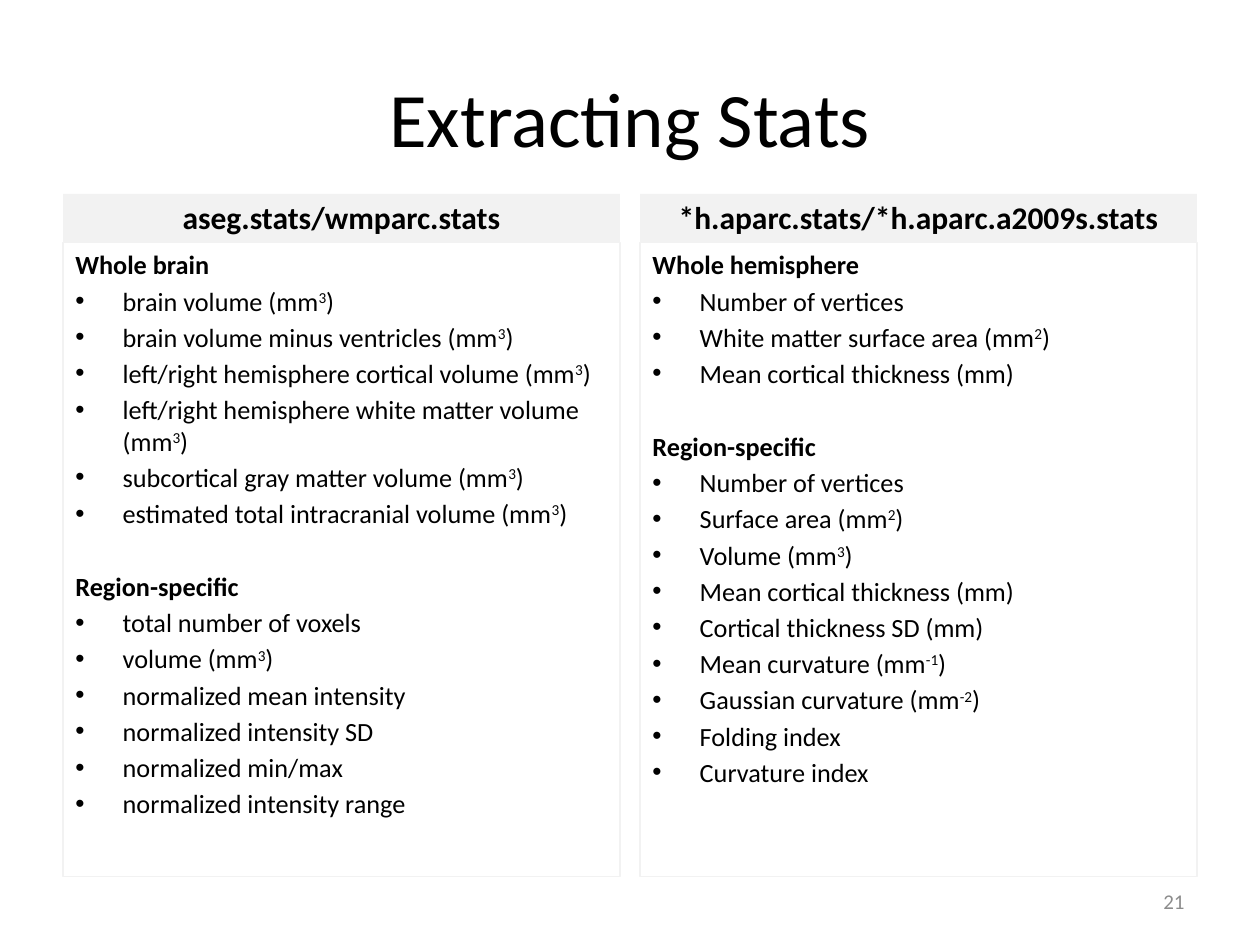
from dataclasses import dataclass

from lxml import etree
from pptx import Presentation
from pptx.dml.color import RGBColor
from pptx.enum.shapes import MSO_SHAPE
from pptx.enum.text import MSO_ANCHOR, PP_ALIGN
from pptx.oxml.ns import qn
from pptx.util import Pt

RECT = MSO_SHAPE.RECTANGLE
TOP, MIDDLE, BOTTOM = MSO_ANCHOR.TOP, MSO_ANCHOR.MIDDLE, MSO_ANCHOR.BOTTOM
LEFT, CENTER, RIGHT = PP_ALIGN.LEFT, PP_ALIGN.CENTER, PP_ALIGN.RIGHT


@dataclass(frozen=True)
class Theme:
    """Colours, font and type sizes of the slide."""
    font: str = "Calibri"
    text: RGBColor = RGBColor(0x00, 0x00, 0x00)
    panel: RGBColor = RGBColor(0xF2, 0xF2, 0xF2)
    muted: RGBColor = RGBColor(0x8C, 0x8C, 0x8C)
    title_size: float = 44
    header_size: float = 18
    body_size: float = 15
    number_size: float = 12
    item_gap: float = 2.7
    section_gap: float = 23.7
    bullet_indent: float = 27


THEME = Theme()
MARGIN, COLUMN_WIDTH, COLUMN_STEP = 36, 318.25, 329.75
HEADER_TOP, HEADER_HEIGHT, BODY_HEIGHT = 110.75, 27.75, 362.25

COLUMNS = [
    ("aseg.stats/wmparc.stats", [
        ("Whole brain", [
            "brain volume (mm^3)",
            "brain volume minus ventricles (mm^3)",
            "left/right hemisphere cortical volume (mm^3)",
            "left/right hemisphere white matter volume (mm^3)",
            "subcortical gray matter volume (mm^3)",
            "estimated total intracranial volume (mm^3)",
        ]),
        ("Region-specific", [
            "total number of voxels",
            "volume (mm^3)",
            "normalized mean intensity",
            "normalized intensity SD",
            "normalized min/max",
            "normalized intensity range",
        ]),
    ]),
    ("*h.aparc.stats/*h.aparc.a2009s.stats", [
        ("Whole hemisphere", [
            "Number of vertices",
            "White matter surface area (mm^2)",
            "Mean cortical thickness (mm)",
        ]),
        ("Region-specific", [
            "Number of vertices",
            "Surface area (mm^2)",
            "Volume (mm^3)",
            "Mean cortical thickness (mm)",
            "Cortical thickness SD (mm)",
            "Mean curvature (mm^-1)",
            "Gaussian curvature (mm^-2)",
            "Folding index",
            "Curvature index",
        ]),
    ]),
]


def style_runs(p, size, color=THEME.text, bold=False):
    """Format every run of a paragraph."""
    for r in p.runs:
        r.font.name = THEME.font
        r.font.size = Pt(size)
        r.font.bold = bold
        r.font.color.rgb = color


def set_frame(sp, anchor):
    """Wrap and anchor a shape's text and return its frame."""
    tf = sp.text_frame
    tf.word_wrap = True
    tf.vertical_anchor = anchor
    return tf


def add_label(s, box, text, size, align, color=THEME.text):
    """Add a one-line text box centred on its height."""
    tf = set_frame(s.shapes.add_textbox(*map(Pt, box)), MIDDLE)
    tf.text = text
    p = tf.paragraphs[0]
    p.alignment = align
    style_runs(p, size, color)


def add_panel(s, box, anchor):
    """Add a plain rectangle and return it."""
    sp = s.shapes.add_shape(RECT, *map(Pt, box))
    sp.shadow.inherit = False
    set_frame(sp, anchor)
    return sp


def add_header(s, box, text):
    """Add a filled column header."""
    sp = add_panel(s, box, BOTTOM)
    sp.fill.solid()
    sp.fill.fore_color.rgb = THEME.panel
    sp.line.fill.background()
    sp.text_frame.text = text
    p = sp.text_frame.paragraphs[0]
    p.alignment = CENTER
    style_runs(p, THEME.header_size, bold=True)


def add_bullet(p):
    """Give a paragraph a hanging round bullet."""
    pPr = p._p.get_or_add_pPr()
    indent = Pt(THEME.bullet_indent)
    pPr.set("marL", str(indent))
    pPr.set("indent", str(-indent))
    etree.SubElement(pPr, qn("a:buFont")).set("typeface", "Arial")
    etree.SubElement(pPr, qn("a:buChar")).set("char", "•")


def write_item(p, item):
    """Write a bullet item, raising the exponent that follows a caret."""
    add_bullet(p)
    base, caret, rest = item.partition("^")
    p.text = base
    if caret:
        exponent = p.add_run()
        exponent.text = rest[:-1]
        exponent.font._element.set("baseline", "30000")
        p.add_run().text = rest[-1]
    p.alignment = LEFT
    p.space_before = Pt(THEME.item_gap)
    style_runs(p, THEME.body_size)


def add_body(s, box, sections):
    """Add an outlined panel of headed bullet lists."""
    sp = add_panel(s, box, TOP)
    sp.fill.background()
    sp.line.color.rgb = THEME.panel
    sp.line.width = Pt(0.75)
    tf = sp.text_frame
    for i, (heading, items) in enumerate(sections):
        p = tf.add_paragraph() if i else tf.paragraphs[0]
        p.text = heading
        p.alignment = LEFT
        p.space_before = Pt(THEME.section_gap if i else 0)
        style_runs(p, THEME.body_size, bold=True)
        for item in items:
            write_item(tf.add_paragraph(), item)


def main():
    """Build and save the slide."""
    prs = Presentation()
    prs.slide_width, prs.slide_height = Pt(720), Pt(540)
    s = prs.slides.add_slide(prs.slide_layouts[6])
    add_label(s, (MARGIN, 21.6, 648, 90), "Extracting Stats", THEME.title_size, CENTER)
    for i, (header, sections) in enumerate(COLUMNS):
        x = MARGIN + i * COLUMN_STEP
        add_header(s, (x, HEADER_TOP, COLUMN_WIDTH, HEADER_HEIGHT), header)
        add_body(s, (x, HEADER_TOP + HEADER_HEIGHT, COLUMN_WIDTH, BODY_HEIGHT), sections)
    add_label(s, (516, 500.5, 168, 28.75), "21", THEME.number_size, RIGHT, THEME.muted)
    prs.save("out.pptx")


if __name__ == "__main__":
    main()
